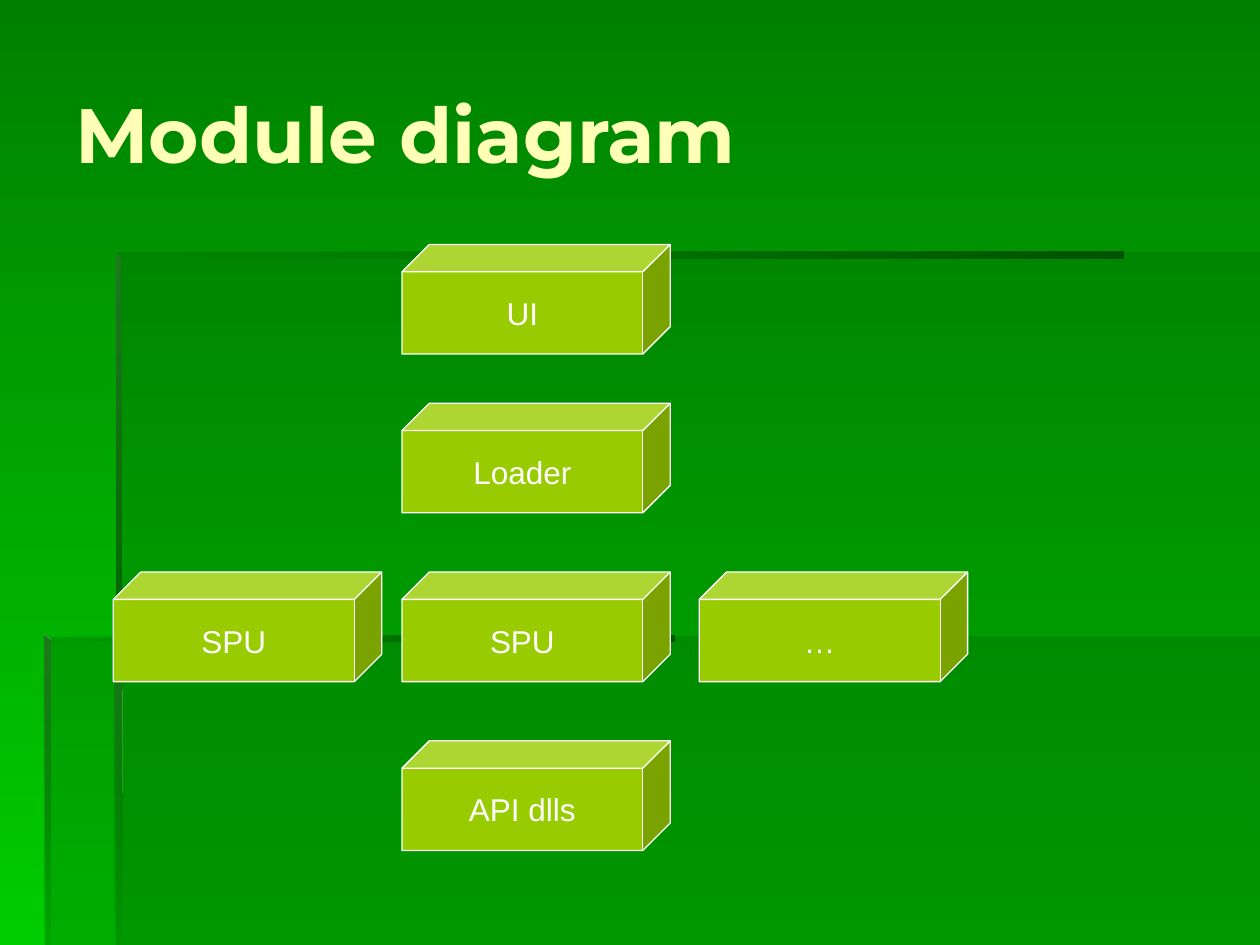
"""Build the module diagram slide."""
from dataclasses import dataclass
from typing import NamedTuple

from lxml import etree
from pptx import Presentation
from pptx import util as u
from pptx.dml.color import RGBColor
from pptx.enum import shapes, text
from pptx.oxml.ns import qn


@dataclass(frozen=True)
class Theme:
    top: str = "008000"
    base: str = "00CC00"
    shade: str = "006600"
    dark: str = "005300"
    pale: str = "1E781E"
    cube: str = "99CC00"
    edge: str = "FFFFFF"
    title: str = "FFFFB7"
    head: str = "Montserrat"
    body: str = "Arial"
    big: int = 44
    small: int = 18


class Stop(NamedTuple):
    color: str
    alpha: int = 100


class Panel(NamedTuple):
    points: tuple
    stops: tuple
    angle: int = 0


class Box(NamedTuple):
    label: str
    left: float
    top: float


T = Theme()
WIDE, HIGH = 2.13, 0.87
MID = 3.19
VEIL = (Stop(T.shade, 30),)
BAR = (Stop(T.dark), Stop(T.shade, 0))
POST = (Stop(T.pale), Stop(T.shade, 0))
DOWN, BACK = 270, 180

PANELS = (
    Panel(((0.92, 5.05), (0.92, 7.5), (10, 7.5), (10, 5.05)), VEIL),
    Panel(((0.94, 5.06), (0.36, 5.06), (0.36, 7.5), (10, 7.5), (10, 2), (0.94, 2)), VEIL),
    Panel(((0.92, 2), (0.92, 2.05), (8.92, 2.05), (8.92, 2)), BAR, BACK),
    Panel(((0.92, 2), (0.92, 5.1), (0.97, 5.1), (0.96, 2.04)),
          (Stop(T.pale), Stop(T.shade)), DOWN),
    Panel(((0.91, 7.5), (0.97, 7.5), (0.96, 5.08), (0.91, 5.04)), POST, DOWN),
    Panel(((0.35, 5.04), (0.35, 5.09), (5.35, 5.09), (5.35, 5.04)), BAR, BACK),
    Panel(((0.35, 5.04), (0.35, 7.5), (0.4, 7.5), (0.4, 5.09)),
          (Stop(T.pale), Stop(T.shade, 10)), DOWN),
)

BOXES = (
    Box("UI", MID, 1.94),
    Box("API dlls", MID, 5.88),
    Box("SPU", 0.9, 4.54),
    Box("SPU", MID, 4.54),
    Box("…", 5.55, 4.54),
    Box("Loader", MID, 3.2),
)


def rgb(code: str) -> RGBColor:
    return RGBColor.from_string(code)


def blend(fill, stops: tuple, angle: int) -> None:
    fill.gradient()
    fill.gradient_angle = angle
    for mark, stop in zip(fill.gradient_stops, stops):
        mark.color.rgb = rgb(stop.color)


def fade(shape, stops: tuple) -> None:
    colors = shape._element.spPr.iter(qn("a:srgbClr"))
    for node, stop in zip(list(colors), stops):
        if stop.alpha < 100:
            etree.SubElement(node, qn("a:alpha")).set("val", str(stop.alpha * 1000))


def draw_panel(slide, panel: Panel) -> None:
    points = [(u.Inches(x), u.Inches(y)) for x, y in panel.points]
    pen = slide.shapes.build_freeform(*points[0])
    pen.add_line_segments(points[1:], close=True)
    shape = pen.convert_to_shape()
    shape.shadow.inherit = False
    shape.line.fill.background()
    if len(panel.stops) > 1:
        blend(shape.fill, panel.stops, panel.angle)
    else:
        shape.fill.solid()
        shape.fill.fore_color.rgb = rgb(panel.stops[0].color)
    fade(shape, panel.stops)


def write(shape, words: str, face: str, size: int, color: str,
          align: text.PP_ALIGN, wrap: bool, bold: bool = False) -> None:
    frame = shape.text_frame
    frame.word_wrap = wrap
    frame.vertical_anchor = text.MSO_ANCHOR.MIDDLE
    line = frame.paragraphs[0]
    line.alignment = align
    run = line.add_run()
    run.text = words
    font = run.font
    font.name, font.size, font.bold = face, u.Pt(size), bold
    font.color.rgb = rgb(color)


def draw_box(slide, box: Box) -> None:
    cube = slide.shapes.add_shape(
        shapes.MSO_SHAPE.CUBE, u.Inches(box.left), u.Inches(box.top),
        u.Inches(WIDE), u.Inches(HIGH))
    cube.shadow.inherit = False
    cube.adjustments[0] = 0.25
    cube.fill.solid()
    cube.fill.fore_color.rgb = rgb(T.cube)
    cube.line.color.rgb = rgb(T.edge)
    cube.line.width = u.Pt(0.75)
    write(cube, box.label, T.body, T.small, T.edge, text.PP_ALIGN.CENTER, False)


def main() -> None:
    deck = Presentation()
    deck.slide_width, deck.slide_height = u.Inches(10), u.Inches(7.5)
    slide = deck.slides.add_slide(deck.slide_layouts[6])
    blend(slide.background.fill, (Stop(T.top), Stop(T.base)), DOWN)
    for panel in PANELS:
        draw_panel(slide, panel)
    title = slide.shapes.add_textbox(
        u.Inches(0.5), u.Inches(0.27), u.Inches(9.17), u.Inches(1.57))
    write(title, "Module diagram", T.head, T.big, T.title,
          text.PP_ALIGN.LEFT, True, bold=True)
    for box in BOXES:
        draw_box(slide, box)
    deck.save("out.pptx")


if __name__ == "__main__":
    main()
